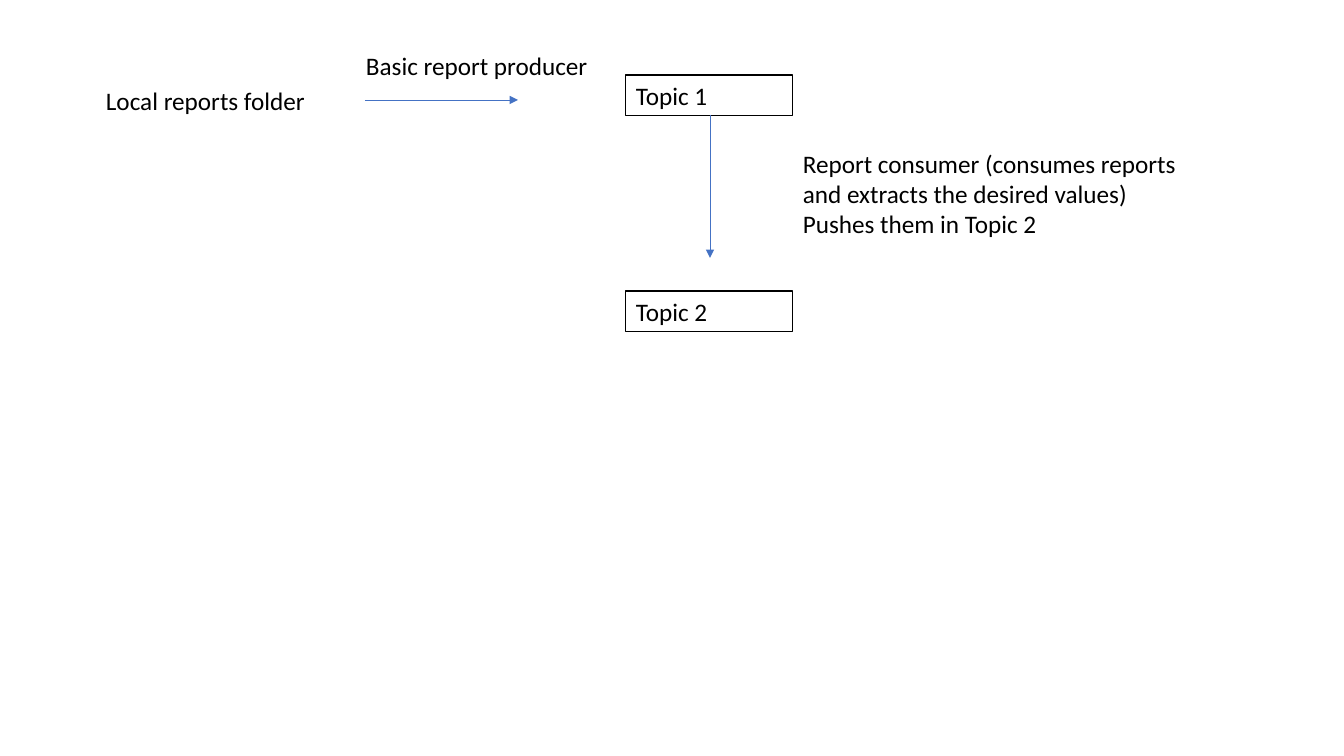
"""Build a slide showing how reports flow from a local folder through two topics."""
from lxml.etree import SubElement
from pptx import Presentation
from pptx.dml.color import RGBColor
from pptx.enum.shapes import MSO_CONNECTOR
from pptx.enum.text import MSO_AUTO_SIZE
from pptx.oxml.ns import qn
from pptx.util import Pt

PX = 9071
BLACK = "000000"
BLUE = "4472C4"


def paint(color_format, hex_color):
    color_format.rgb = RGBColor.from_string(hex_color)


def add_text(text, left, top, width, height=41, size=18, font="Calibri", color=BLACK, border=None):
    label = slide.shapes.add_textbox(left * PX, top * PX, width * PX, height * PX)
    frame = label.text_frame
    frame.word_wrap = True
    frame.auto_size = MSO_AUTO_SIZE.SHAPE_TO_FIT_TEXT
    frame.text = text
    for paragraph in frame.paragraphs:
        for run in paragraph.runs:
            run.font.size = Pt(size)
            run.font.name = font
            paint(run.font.color, color)
    if border:
        paint(label.line.color, border)
        label.line.width = Pt(0.75)


deck = Presentation()
deck.slide_width = 1344 * PX
deck.slide_height = 756 * PX
slide = deck.slides.add_slide(deck.slide_layouts[6])

add_text("Local reports folder", 96, 80, 223)
add_text("Basic report producer", 356, 45, 270)
add_text(
    "Report consumer (consumes reports and extracts the desired values)\nPushes them in Topic 2",
    793, 143, 414, height=102,
)

for topic, top in (("Topic 1", 75), ("Topic 2", 291)):
    add_text(topic, 626, top, 167, border=BLACK)

producer_step = (365, 100, 518, 100)
consumer_step = (710, 115, 710, 258)
for step in (producer_step, consumer_step):
    arrow = slide.shapes.add_connector(MSO_CONNECTOR.STRAIGHT, *(value * PX for value in step))
    paint(arrow.line.color, BLUE)
    arrow.line.width = Pt(0.5)
    SubElement(arrow.line._get_or_add_ln(), qn("a:tailEnd"), type="triangle")
    SubElement(arrow._element.spPr, qn("a:effectLst"))

deck.save("out.pptx")
